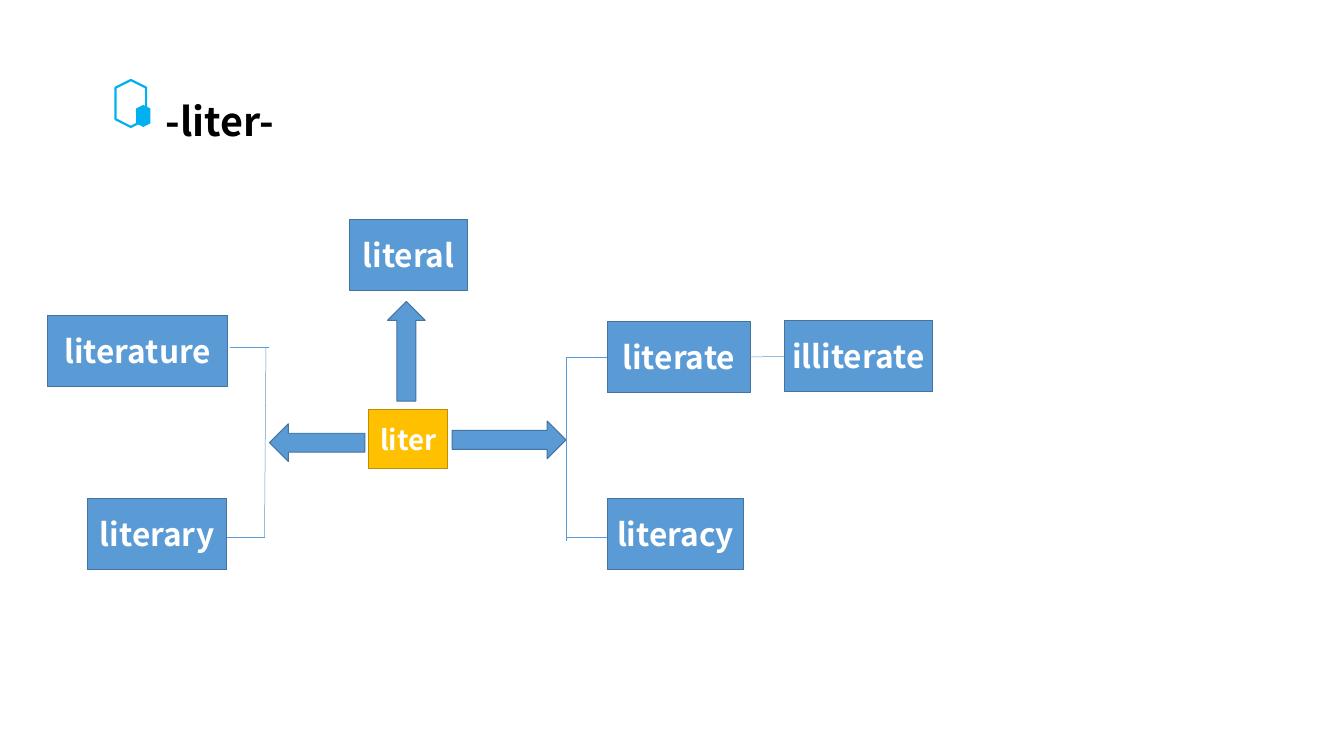
from lxml.etree import SubElement
from pptx import Presentation
from pptx.dml.color import RGBColor
from pptx.enum.shapes import MSO_CONNECTOR as Link, MSO_SHAPE as Shape
from pptx.enum.text import MSO_ANCHOR as Anchor, MSO_AUTO_SIZE as Fit, PP_ALIGN as Align
from pptx.oxml.ns import qn
from pptx.util import Inches, Pt

COLORS = {
    "black": "000000", "white": "FFFFFF", "blue": "5B9BD5", "blue edge": "43739E",
    "gold": "FFC000", "gold edge": "BD8E00", "cyan": "00B0F0",
}
TOP, LEFT, BOTTOM, RIGHT = range(4)
COLUMNS, ROWS = 189, 106.3


class WordMap:
    """Draw a word family on a grid of 189 columns by 106.3 rows."""

    font = "Noto Sans CJK SC"

    def __init__(self, deck):
        self.column = deck.slide_width / COLUMNS
        self.row = deck.slide_height / ROWS
        self.slide = deck.slides.add_slide(deck.slide_layouts[5])

    def place(self, left, top, width, height):
        return (round(left * self.column), round(top * self.row),
                round(width * self.column), round(height * self.row))

    def color(self, name):
        return RGBColor.from_string(COLORS[name])

    def label(self, frame, words, size, color, align, anchor):
        frame.text = words
        frame.word_wrap = False
        frame.vertical_anchor = anchor
        paragraph = frame.paragraphs[0]
        paragraph.alignment = align
        font = paragraph.runs[0].font
        font.name, font.size, font.bold = self.font, Pt(size), True
        font.color.rgb = self.color(color)

    def title(self, words, *cells):
        heading = self.slide.shapes.title
        heading.left, heading.top, heading.width, heading.height = self.place(*cells)
        self.label(heading.text_frame, words, 40, "black", Align.LEFT, Anchor.TOP)
        heading.text_frame.auto_size = Fit.NONE

    def shape(self, kind, cells, fill="blue", edge="blue edge", weight=1, parent=None):
        drawn = (parent or self.slide).shapes.add_shape(kind, *self.place(*cells))
        drawn.shadow.inherit = False
        if fill:
            drawn.fill.solid()
            drawn.fill.fore_color.rgb = self.color(fill)
        else:
            drawn.fill.background()
        if edge:
            drawn.line.color.rgb = self.color(edge)
            drawn.line.width = Pt(weight)
        else:
            drawn.line.fill.background()
        return drawn

    def word(self, words, cells, size=32, fill="blue"):
        box = self.shape(Shape.RECTANGLE, cells, fill, f"{fill} edge")
        self.label(box.text_frame, words, size, "white", Align.CENTER, Anchor.MIDDLE)
        return box

    def emblem(self):
        group = self.slide.shapes.add_group_shape()
        outline = self.shape(Shape.HEXAGON, (15.1, 12.4, 6.6, 4.3), None, "cyan", 2.25, group)
        core = self.shape(Shape.HEXAGON, (18.6, 15.3, 3.1, 2), "cyan", None, parent=group)
        outline.rotation = core.rotation = 90

    def line(self, x1, y1, x2, y2, start=None, end=None):
        branch = self.slide.shapes.add_connector(Link.STRAIGHT, *self.place(x1, y1, x2, y2))
        branch.line.color.rgb = self.color("blue")
        branch.line.width = Pt(0.5)
        SubElement(branch._element.spPr, qn("a:effectLst"))
        if start:
            branch.begin_connect(*start)
        if end:
            branch.end_connect(*end)


def main():
    deck = Presentation()
    deck.slide_width, deck.slide_height = Inches(18.9), Inches(10.63)
    family = WordMap(deck)
    family.title("-liter-", 22.3, 13.2, 17.9, 7.7)
    family.emblem()

    family.word("liter", (51.8, 57.6, 11.2, 8.3), 28, "gold")
    words = {
        "literal": (49.2, 30.9, 16.5),
        "literature": (6.7, 44.4, 25.3),
        "literary": (12.3, 70.1, 19.6),
        "literate": (85.4, 45.2, 20.1),
        "literacy": (85.4, 70.1, 19.2),
        "illiterate": (110.3, 45.1, 20.8),
    }
    boxes = {name: family.word(name, (*cells, 10)) for name, cells in words.items()}

    family.shape(Shape.UP_ARROW, (54.5, 42.4, 5.3, 14))
    family.shape(Shape.LEFT_ARROW, (37.9, 59.6, 13.4, 5.3))
    family.shape(Shape.RIGHT_ARROW, (63.6, 59.2, 16, 5.3))

    family.line(32.3, 48.8, 37.8, 48.8)
    family.line(37.4, 48.8, 37.2, 75.5)
    family.line(31.9, 75.5, 37.3, 75.5)
    family.line(79.6, 50.2, 79.6, 76.1)
    family.line(79.6, 75.5, 85.4, 75.5)
    family.line(79.6, 50.2, 85.4, 50.2, end=(boxes["literate"], LEFT))
    family.line(105.5, 50.2, 110.3, 50.1,
                (boxes["literate"], RIGHT), (boxes["illiterate"], LEFT))
    deck.save("out.pptx")


if __name__ == "__main__":
    main()
